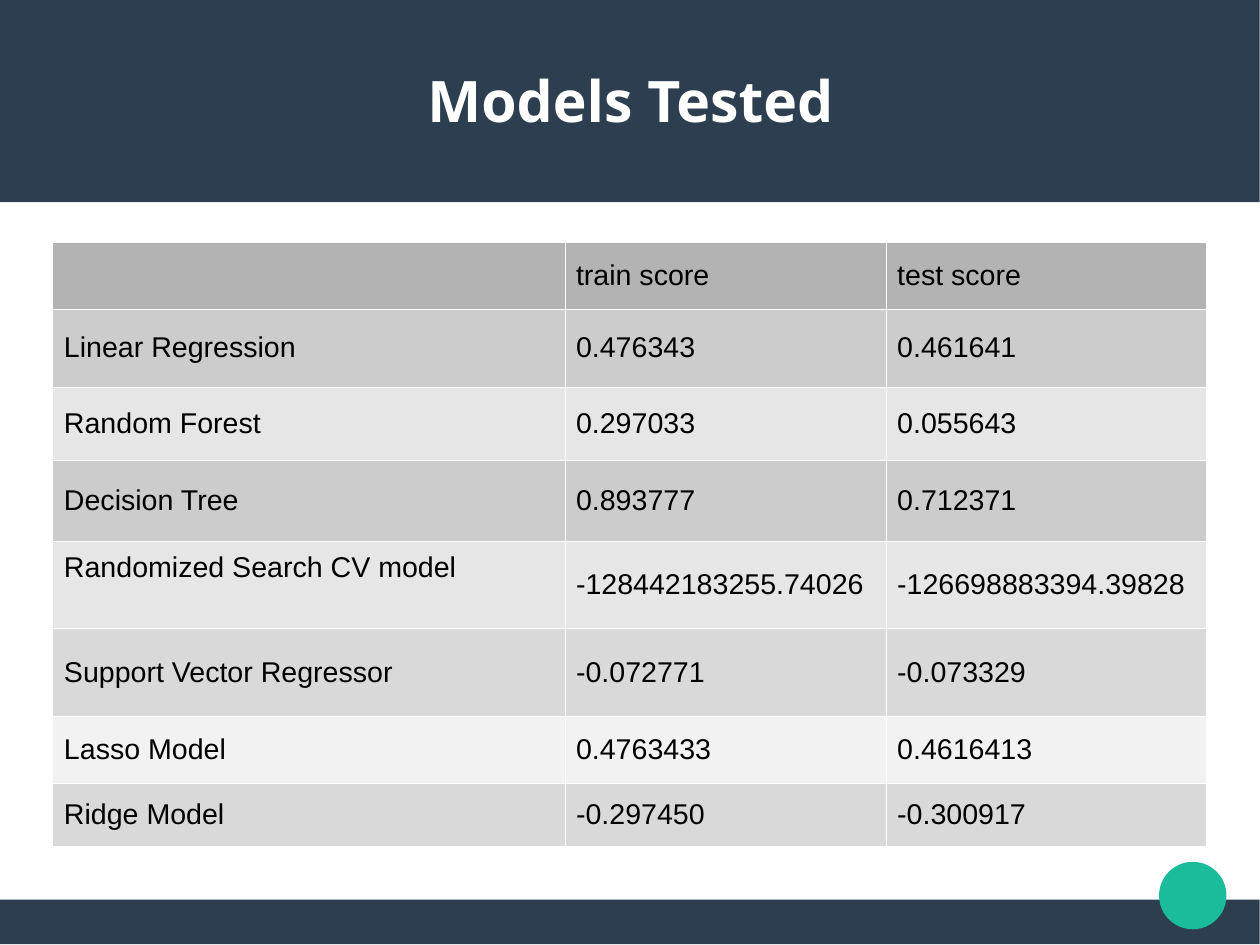
"""Builds the "Models Tested" slide with its table of train and test scores."""
from dataclasses import dataclass

from lxml import etree
from pptx import Presentation
from pptx.dml.color import RGBColor
from pptx.enum.shapes import MSO_SHAPE
from pptx.enum.text import MSO_ANCHOR, MSO_AUTO_SIZE, PP_ALIGN
from pptx.oxml.ns import qn
from pptx.util import Cm, Inches, Pt

RECTANGLE = MSO_SHAPE.RECTANGLE
OVAL = MSO_SHAPE.OVAL
TOP = MSO_ANCHOR.TOP
MIDDLE = MSO_ANCHOR.MIDDLE
CENTER = PP_ALIGN.CENTER
LEFT = PP_ALIGN.LEFT
NO_AUTOFIT = MSO_AUTO_SIZE.NONE

SLIDE_WIDTH, SLIDE_HEIGHT = Cm(28), Cm(21)
BAND_WIDTH = 11.02
TITLE_LAYOUT = 5


@dataclass(frozen=True)
class Theme:
    navy: str = "2C3E50"
    teal: str = "1ABC9C"
    white: str = "FFFFFF"
    black: str = "000000"
    header_gray: str = "B3B3B3"
    dark_gray: str = "CCCCCC"
    light_gray: str = "E6E6E6"
    late_dark_gray: str = "D9D9D9"
    late_light_gray: str = "F2F2F2"
    title_font: str = "Noto Sans"
    body_font: str = "Arial"
    title_size: float = 36
    body_size: float = 18
    border_width: float = 0.06


THEME = Theme()
COLUMN_WIDTHS = [4.48, 2.81, 2.8]
SCORE_ROWS = [
    (0.58, THEME.header_gray, ["", "train score", "test score"]),
    (0.69, THEME.dark_gray, ["Linear Regression", "0.476343", "0.461641"]),
    (0.64, THEME.light_gray, ["Random Forest", "0.297033", "0.055643"]),
    (0.7, THEME.dark_gray, ["Decision Tree", "0.893777", "0.712371"]),
    (0.77, THEME.light_gray,
     ["Randomized Search CV model", "-128442183255.74026", "-126698883394.39828"]),
    (0.77, THEME.late_dark_gray, ["Support Vector Regressor", "-0.072771", "-0.073329"]),
    (0.58, THEME.late_light_gray, ["Lasso Model", "0.4763433", "0.4616413"]),
    (0.55, THEME.late_dark_gray, ["Ridge Model", "-0.297450", "-0.300917"]),
]
RAISED_LABEL = "Randomized Search CV model"


def write_text(text_frame, text, *, font, size, color, bold=False,
               alignment=LEFT, space_before=0):
    paragraph = text_frame.paragraphs[0]
    paragraph.alignment = alignment
    paragraph.space_before = Pt(space_before)
    paragraph.font.size = Pt(size)
    if text:
        run = paragraph.add_run()
        run.text = text
        run.font.name = font
        run.font.size = Pt(size)
        run.font.bold = bold
        run.font.color.rgb = RGBColor.from_string(color)


class SlideBuilder:
    def __init__(self, slide, theme):
        self.slide = slide
        self.theme = theme

    def shape(self, kind, left, top, width, height, color):
        shape = self.slide.shapes.add_shape(
            kind, Inches(left), Inches(top), Inches(width), Inches(height))
        shape.shadow.inherit = False
        shape.fill.solid()
        shape.fill.fore_color.rgb = RGBColor.from_string(color)
        shape.line.fill.background()

    def title(self, text, left, top, width, height):
        title = self.slide.shapes.title
        title.left, title.top = Inches(left), Inches(top)
        title.width, title.height = Inches(width), Inches(height)
        self.slide.shapes.element.append(title.element)
        frame = title.text_frame
        frame.auto_size = NO_AUTOFIT
        frame.word_wrap = True
        frame.vertical_anchor = MIDDLE
        frame.margin_left = frame.margin_right = 0
        frame.margin_top = frame.margin_bottom = 0
        write_text(frame, text, font=self.theme.title_font, size=self.theme.title_size,
                   color=self.theme.white, bold=True, alignment=CENTER, space_before=14.2)

    def table(self, rows, column_widths, left, top):
        height = sum(row_height for row_height, _, _ in rows)
        table = self.slide.shapes.add_table(
            len(rows), len(column_widths), Inches(left), Inches(top),
            Inches(sum(column_widths)), Inches(height)).table
        table.first_row = table.horz_banding = False
        for column, width in zip(table.columns, column_widths):
            column.width = Inches(width)
        for row, (row_height, color, texts) in zip(table.rows, rows):
            row.height = Inches(row_height)
            for cell, text in zip(row.cells, texts):
                self.cell(cell, text, color)

    def cell(self, cell, text, color):
        self.borders(cell)
        cell.fill.solid()
        cell.fill.fore_color.rgb = RGBColor.from_string(color)
        raised = text == RAISED_LABEL
        cell.vertical_anchor = TOP if raised else MIDDLE
        cell.margin_left = cell.margin_right = Inches(0.1)
        cell.margin_top = Inches(0.1 if raised else 0.05)
        cell.margin_bottom = Inches(0.05)
        write_text(cell.text_frame, text, font=self.theme.body_font,
                   size=self.theme.body_size, color=self.theme.black)

    def borders(self, cell):
        properties = cell._tc.get_or_add_tcPr()
        for side in ("a:lnL", "a:lnR", "a:lnT", "a:lnB"):
            line = etree.SubElement(properties, qn(side), w=str(Pt(self.theme.border_width)))
            fill = etree.SubElement(line, qn("a:solidFill"))
            etree.SubElement(fill, qn("a:srgbClr"), val=self.theme.white)


def main():
    presentation = Presentation()
    presentation.slide_width = SLIDE_WIDTH
    presentation.slide_height = SLIDE_HEIGHT
    slide = presentation.slides.add_slide(presentation.slide_layouts[TITLE_LAYOUT])
    builder = SlideBuilder(slide, THEME)
    builder.shape(RECTANGLE, 0, 7.87, BAND_WIDTH, 0.39, THEME.navy)
    builder.shape(RECTANGLE, 0, 0, BAND_WIDTH, 1.77, THEME.navy)
    builder.shape(OVAL, 10.14, 7.54, 0.59, 0.59, THEME.teal)
    builder.title("Models Tested", 3.18, 0.35, 4.67, 1.05)
    builder.table(SCORE_ROWS, COLUMN_WIDTHS, 0.46, 2.12)
    presentation.save("out.pptx")


if __name__ == "__main__":
    main()
